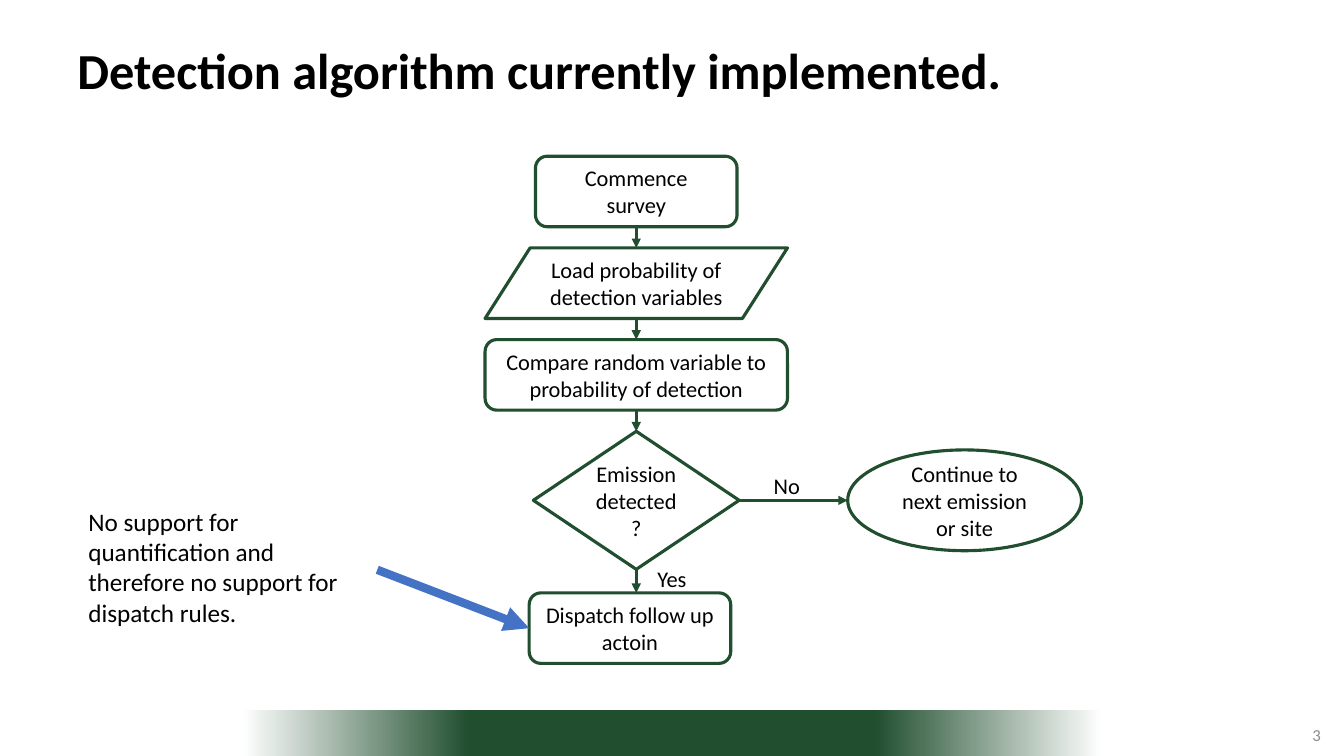
from lxml import etree
from pptx import Presentation
from pptx.dml.color import RGBColor
from pptx.enum import shapes, text
from pptx.oxml import ns
from pptx.util import Pt

GREEN = RGBColor(0x20, 0x4E, 0x2E)
BLUE = RGBColor(0x44, 0x72, 0xC4)
BLACK = RGBColor(0, 0, 0)
WHITE = RGBColor(0xFF, 0xFF, 0xFF)
GREY = RGBColor(0x8C, 0x8C, 0x8C)
FONT = "Calibri"
PRESET = shapes.MSO_SHAPE
ALIGN = text.PP_ALIGN
MIDDLE = text.MSO_ANCHOR.MIDDLE
TOP = text.MSO_ANCHOR.TOP


def write(shape, wording, size, color, align, anchor):
    frame = shape.text_frame
    frame.word_wrap = True
    frame.vertical_anchor = anchor
    frame.text = wording
    for paragraph in frame.paragraphs:
        paragraph.alignment = align
        paragraph.font.name = FONT
        paragraph.font.size = Pt(size)
        paragraph.font.color.rgb = color


def add_arrow(start_x, start_y, end_x, end_y, color, width):
    arrow = slide.shapes.add_connector(
        shapes.MSO_CONNECTOR.STRAIGHT, Pt(start_x), Pt(start_y), Pt(end_x), Pt(end_y))
    arrow.line.color.rgb = color
    arrow.line.width = Pt(width)
    etree.SubElement(arrow.line._get_or_add_ln(), ns.qn("a:tailEnd"), type="triangle")
    etree.SubElement(arrow._element.spPr, ns.qn("a:effectLst"))


presentation = Presentation()
presentation.slide_width = Pt(960)
presentation.slide_height = Pt(540)
slide = presentation.slides.add_slide(presentation.slide_layouts[5])

band = slide.shapes.add_shape(PRESET.RECTANGLE, 0, Pt(507.5), Pt(960), Pt(32.5))
band.shadow.inherit = False
band.line.fill.background()
band.fill.gradient()
band.fill.gradient_angle = 0
stops = band._element.spPr.find(ns.qn("a:gradFill")).find(ns.qn("a:gsLst"))
for stop in list(stops):
    stops.remove(stop)
for percent, color in [(0, WHITE), (18, WHITE), (35, GREEN),
                       (65, GREEN), (82, WHITE), (100, WHITE)]:
    stop = etree.SubElement(stops, ns.qn("a:gs"), pos=str(percent * 1000))
    etree.SubElement(stop, ns.qn("a:srgbClr"), val=str(color))

title = slide.shapes.title
title.left, title.top, title.width, title.height = Pt(48), Pt(26), Pt(863.5), Pt(52)
write(title, "Detection algorithm currently implemented.", 36, BLACK, ALIGN.LEFT, MIDDLE)
title.text_frame.paragraphs[0].font.bold = True
title.text_frame.paragraphs[0].line_spacing = 0.9

axis = 454.5
first_top = 111.6
pitch = 65.5
box_height = 50.4
compare_top = first_top + 2 * pitch
diamond_top = first_top + 3 * pitch
diamond_height = 98.6
diamond_bottom = diamond_top + diamond_height
diamond_middle = diamond_top + diamond_height / 2
dispatch_top = 423.5

steps = [
    (PRESET.ROUNDED_RECTANGLE, axis, first_top, 144, box_height, "Commence\nsurvey"),
    (PRESET.PARALLELOGRAM, axis, first_top + pitch, 216, box_height,
     "Load probability of detection variables"),
    (PRESET.ROUNDED_RECTANGLE, axis, compare_top, 216, box_height,
     "Compare random variable to probability of detection"),
    (PRESET.DIAMOND, axis, diamond_top, 147, diamond_height, "Emission detected?"),
    (PRESET.OVAL, 689, diamond_middle - 36, 167, 72, "Continue to next emission or site"),
    (PRESET.ROUNDED_RECTANGLE, 450, dispatch_top, 144, box_height, "Dispatch follow up actoin"),
]
for preset, center, top, width, height, wording in steps:
    step = slide.shapes.add_shape(preset, Pt(center - width / 2), Pt(top), Pt(width), Pt(height))
    step.shadow.inherit = False
    step.fill.background()
    step.line.color.rgb = GREEN
    step.line.width = Pt(2.25)
    if preset == PRESET.PARALLELOGRAM:
        step.adjustments[0] = 0.638
    write(step, wording, 16, BLACK, ALIGN.CENTER, MIDDLE)

for row in range(3):
    top = first_top + row * pitch
    add_arrow(axis, top + box_height, axis, top + pitch, GREEN, 2.25)
add_arrow(axis, diamond_bottom, axis, dispatch_top, GREEN, 2.25)
add_arrow(axis + 73.5, diamond_middle, 605.5, diamond_middle, GREEN, 2.25)
add_arrow(269.5, 407, 378, dispatch_top + box_height / 2, BLUE, 6)

labels = [
    (523.5, 334, 77, 26.5, "No", 16, BLACK, ALIGN.CENTER, TOP),
    (459.5, 400, 41, 26.5, "Yes", 16, BLACK, ALIGN.CENTER, TOP),
    (56, 358, 211, 94.5,
     "No support for quantification and therefore no support for dispatch rules.",
     18, BLACK, ALIGN.LEFT, TOP),
    (734.5, 510, 216, 29, "3", 12, GREY, ALIGN.RIGHT, MIDDLE),
]
for left, top, width, height, wording, size, color, align, anchor in labels:
    label = slide.shapes.add_textbox(Pt(left), Pt(top), Pt(width), Pt(height))
    write(label, wording, size, color, align, anchor)

presentation.save("out.pptx")
